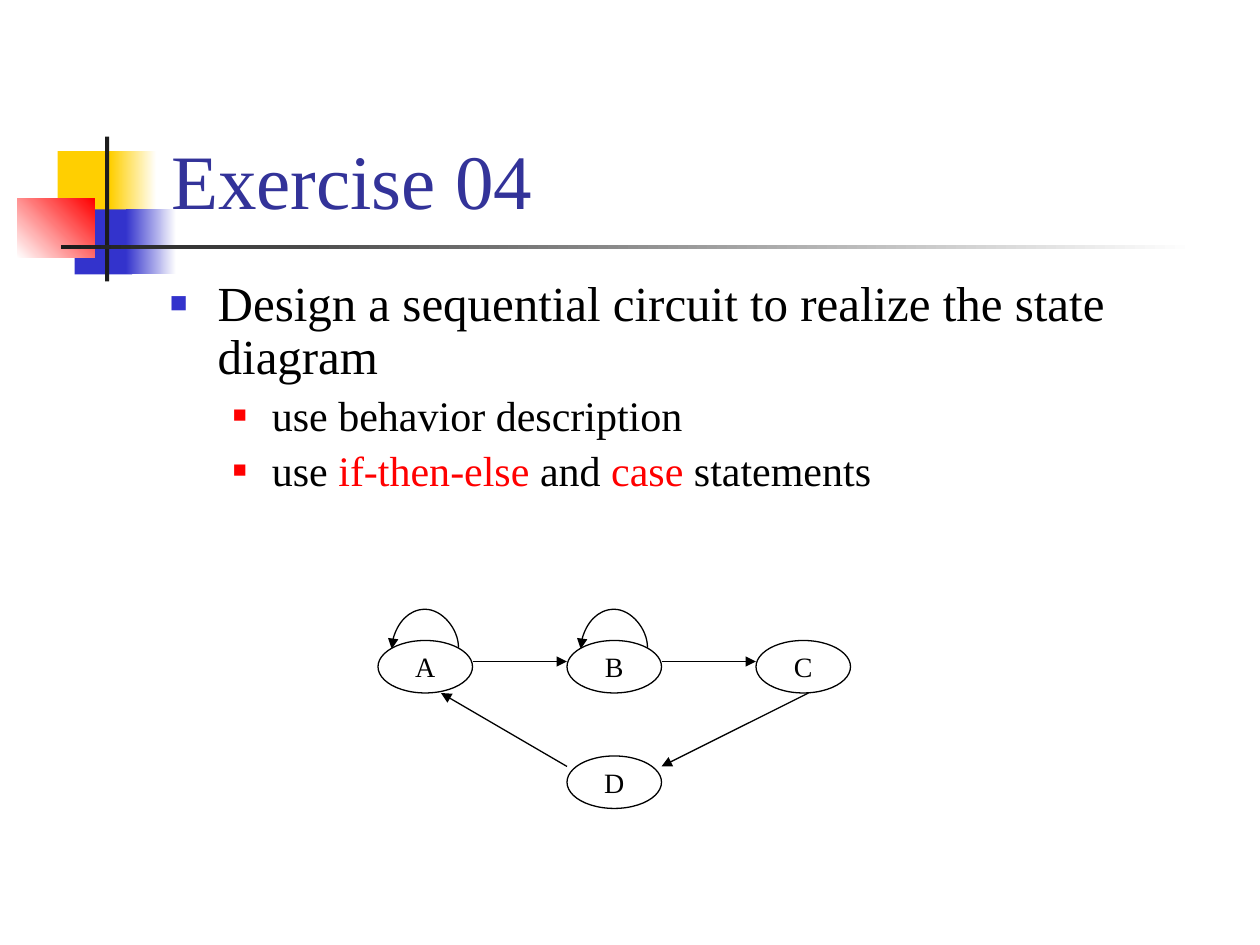
"""Build the Exercise 04 slide: a task list above a four-state diagram."""
from typing import NamedTuple, Optional

from lxml.etree import SubElement as Sub
from pptx import Presentation
from pptx.dml.color import RGBColor as Rgb
from pptx.enum.shapes import MSO_CONNECTOR as Conn, MSO_SHAPE as Geom
from pptx.enum.text import MSO_ANCHOR as Anchor, MSO_AUTO_SIZE as Fit, PP_ALIGN as Align
from pptx.oxml.ns import qn
from pptx.util import Inches, Pt

FONT = "Times New Roman"
BLACK = Rgb(0x00, 0x00, 0x00)
WHITE = Rgb(0xFF, 0xFF, 0xFF)
RED = Rgb(0xFF, 0x00, 0x00)
GOLD = Rgb(0xFF, 0xCF, 0x01)
BLUE = Rgb(0x33, 0x33, 0xCC)
NAVY = Rgb(0x33, 0x33, 0x99)
DARK = Rgb(0x1C, 0x1C, 0x1C)
COLS, ROWS = 120, 90
NODE_W, NODE_H = 9, 5


class Block(NamedTuple):
    col: float
    row: float
    wide: float
    high: float
    tint: Rgb
    fade: Optional[Rgb] = None
    angle: int = 0


class Node(NamedTuple):
    name: str
    col: float
    row: float


class Edge(NamedTuple):
    col: float
    row: float
    to_col: float
    to_row: float


class Item(NamedTuple):
    words: tuple
    level: int
    size: int
    left: float
    hang: float
    mark: Rgb
    share: int


BLOCKS = (
    Block(5.5, 14.4, 5.8, 6.2, GOLD),
    Block(10.5, 14.4, 4.4, 6.2, GOLD, WHITE),
    Block(7.1, 19.95, 5.5, 6.2, BLUE),
    Block(12, 19.95, 4.8, 6.2, BLUE, WHITE),
    Block(1.65, 18.95, 7.4, 5.6, WHITE, RED, 45),
    Block(10, 13, 0.4, 13.8, DARK),
    Block(5.8, 23.35, 108, 0.4, DARK, WHITE),
)
ITEMS = (
    Item((("Design a sequential circuit to realize the state diagram", BLACK),),
         0, 28, 0.38, 0.38, BLUE, 60),
    Item((("use behavior description", BLACK),), 1, 24, 0.81, 0.31, RED, 55),
    Item((("use ", BLACK), ("if-then-else", RED), (" and ", BLACK),
          ("case", RED), (" statements", BLACK)), 1, 24, 0.81, 0.31, RED, 55),
)
NODES = (Node("A", 36, 61), Node("B", 54, 61), Node("C", 72, 61), Node("D", 54, 72))
EDGES = (Edge(45, 63, 54, 63), Edge(63, 63, 72, 63),
         Edge(77, 66, 63, 73), Edge(54, 73, 42, 66))


def grid(*cells: float) -> list:
    """Turn grid cells into lengths."""
    return [Inches(10 * cell / COLS) for cell in cells]


def style(font, size: int, tint: Rgb) -> None:
    """Set face, size and colour."""
    font.name, font.size = FONT, Pt(size)
    font.color.rgb = tint


def draw_block(shapes, block: Block) -> None:
    """Draw one plain or fading block."""
    box = shapes.add_shape(Geom.RECTANGLE, *grid(*block[:4]))
    box.shadow.inherit = False
    box.line.fill.background()
    if block.fade is None:
        box.fill.solid()
        box.fill.fore_color.rgb = block.tint
        return
    box.fill.gradient()
    box.fill.gradient_angle = block.angle
    for stop, tint in zip(box.fill.gradient_stops, (block.tint, block.fade)):
        stop.color.rgb = tint


def set_title(slide, text: str) -> None:
    """Place the title in front of the blocks."""
    title = slide.shapes.title
    title.left, title.top, title.width, title.height = grid(15.1, 2.8, 102.2, 19.2)
    title.element.getparent().append(title.element)
    frame = title.text_frame
    frame.text = text
    frame.auto_size, frame.vertical_anchor = Fit.NONE, Anchor.BOTTOM
    para = frame.paragraphs[0]
    para.alignment = Align.LEFT
    style(para.runs[0].font, 44, NAVY)


def add_mark(para, item: Item) -> None:
    """Give a paragraph its indent and square bullet."""
    props = para._p.get_or_add_pPr()
    props.set("marL", str(Inches(item.left)))
    props.set("indent", str(-Inches(item.hang)))
    Sub(Sub(props, qn("a:buClr")), qn("a:srgbClr"), val=str(item.mark))
    Sub(props, qn("a:buSzPct"), val=str(item.share * 1000))
    Sub(props, qn("a:buFont"), typeface=FONT)
    Sub(props, qn("a:buChar"), char="■")


def draw_list(shapes, items: tuple) -> None:
    """Write the bulleted task list."""
    frame = shapes.add_textbox(*grid(15, 26, 102, 22)).text_frame
    frame.word_wrap = True
    for i, item in enumerate(items):
        para = frame.add_paragraph() if i else frame.paragraphs[0]
        para.level, para.line_spacing = item.level, 0.9
        if i:
            para.space_before = Pt(5.6)
        add_mark(para, item)
        for text, tint in item.words:
            run = para.add_run()
            run.text = text
            style(run.font, item.size, tint)


def draw_node(shapes, node: Node) -> None:
    """Draw one state."""
    oval = shapes.add_shape(Geom.OVAL, *grid(node.col, node.row, NODE_W, NODE_H))
    oval.shadow.inherit = False
    oval.fill.background()
    oval.line.color.rgb, oval.line.width = BLACK, Pt(0.75)
    frame = oval.text_frame
    frame.text = node.name
    frame.word_wrap, frame.vertical_anchor = False, Anchor.MIDDLE
    para = frame.paragraphs[0]
    para.alignment = Align.CENTER
    style(para.runs[0].font, 16, BLACK)


def draw_edge(shapes, edge: Edge, kind=Conn.STRAIGHT):
    """Draw one arrow and return it."""
    link = shapes.add_connector(kind, *grid(*edge))
    link.line.color.rgb, link.line.width = BLACK, Pt(0.75)
    props = link.element.spPr
    Sub(props.find(qn("a:ln")), qn("a:tailEnd"), type="triangle")
    Sub(props, qn("a:effectLst"))
    return link


def draw_loop(shapes, node: Node) -> None:
    """Draw an arrow from a state back to itself."""
    mid, row, half, thin = node.col + NODE_W / 2, node.row + 0.74, 3.18, 0.06
    edge = Edge(mid + thin, row + half, mid - thin, row - half)
    props = draw_edge(shapes, edge, Conn.CURVE).element.spPr
    props.find(qn("a:xfrm")).set("rot", str(270 * 60000))
    bends = props.find(qn("a:prstGeom")).find(qn("a:avLst"))
    Sub(bends, qn("a:gd"), name="adj1", fmla="val -3100000")


def main() -> None:
    """Build and save the slide."""
    deck = Presentation()
    deck.slide_width, deck.slide_height = grid(COLS, ROWS)
    slide = deck.slides.add_slide(deck.slide_layouts[5])
    shapes = slide.shapes
    for block in BLOCKS:
        draw_block(shapes, block)
    set_title(slide, "Exercise 04")
    draw_list(shapes, ITEMS)
    for node in NODES:
        draw_node(shapes, node)
    for node in NODES[:2]:
        draw_loop(shapes, node)
    for edge in EDGES:
        draw_edge(shapes, edge)
    deck.save("out.pptx")


if __name__ == "__main__":
    main()
